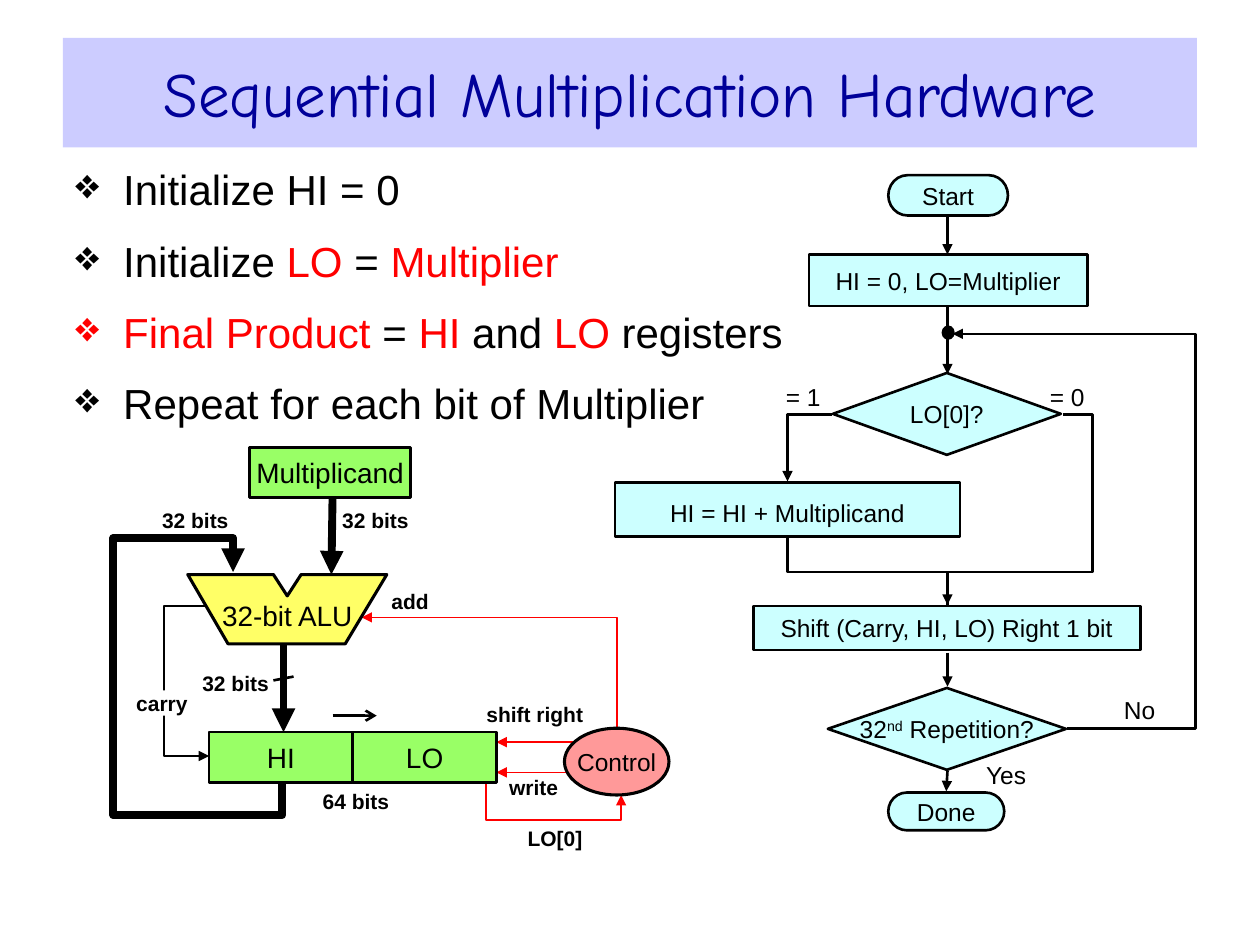
"""Build the sequential multiplication hardware slide."""
from lxml import etree
from pptx import Presentation
from pptx.dml.color import RGBColor
from pptx.enum import shapes, text
from pptx.oxml import ns
from pptx.util import Cm, Pt

INCH = 2.54
COLOURS = {
    "black": "000000", "red": "FF0000", "navy": "000099", "lavender": "CCCCFF",
    "cyan": "CCFFFF", "green": "99FF66", "yellow": "FFFF66", "pink": "FF9999",
    "white": "FFFFFF",
}
RGB = {name: RGBColor.from_string(code) for name, code in COLOURS.items()}
KIND = shapes.MSO_SHAPE

deck = Presentation()
deck.slide_width, deck.slide_height = Cm(10 * INCH), Cm(7.5 * INCH)
slide = deck.slides.add_slide(deck.slide_layouts[6])


def place(words, box, size=14, kind=None, fill=None, width=0, bold=False, font="Arial", ink="black"):
    left, top, wide, high = (Cm(value * INCH) for value in box)
    if kind is None:
        item = slide.shapes.add_textbox(left, top, wide, high)
    else:
        item = slide.shapes.add_shape(kind, left, top, wide, high)
        item.shadow.inherit = False
        item.fill.solid()
        item.fill.fore_color.rgb = RGB[fill]
        if width:
            item.line.color.rgb = RGB["black"]
            item.line.width = Pt(width)
        else:
            item.line.fill.background()
    frame = item.text_frame
    frame.word_wrap = False
    frame.vertical_anchor = text.MSO_ANCHOR.MIDDLE
    frame.margin_left = frame.margin_right = frame.margin_top = frame.margin_bottom = 0
    line = frame.paragraphs[0]
    line.alignment = text.PP_ALIGN.CENTER
    for index, piece in enumerate(words.split("^") if words else []):
        run = line.add_run()
        run.text = piece
        run.font.size, run.font.bold, run.font.name = Pt(size), bold, font
        run.font.color.rgb = RGB[ink]
        if index == 1:
            run.font._element.set("baseline", "30000")
    return item


def route(points, ink="black", width=1.5, tip="triangle"):
    stops = [(Cm(x * INCH), Cm(y * INCH)) for x, y in points]
    if len(stops) == 2:
        wire = slide.shapes.add_connector(shapes.MSO_CONNECTOR.STRAIGHT, *stops[0], *stops[1])
        etree.SubElement(wire._element.spPr, ns.qn("a:effectLst"))
    else:
        outline = slide.shapes.build_freeform(*stops[0])
        outline.add_line_segments(stops[1:], close=False)
        wire = outline.convert_to_shape()
        wire.shadow.inherit = False
        wire.fill.background()
    wire.line.color.rgb = RGB[ink]
    wire.line.width = Pt(width)
    if tip:
        etree.SubElement(wire.line._get_or_add_ln(), ns.qn("a:tailEnd"), type=tip)


place("Sequential Multiplication Hardware", (0.5, 0.3, 9, 0.87), 36, KIND.RECTANGLE,
      "lavender", font="Comic Neue", ink="navy")

steps = [
    [("Initialize HI = 0", "black")],
    [("Initialize ", "black"), ("LO", "red"), (" = ", "black"), ("Multiplier", "red")],
    [("Final Product", "red"), (" =", "black"), (" HI ", "red"), ("and", "black"),
     (" LO ", "red"), ("registers", "black")],
    [("Repeat for each bit of Multiplier", "black")],
]
body = slide.shapes.add_textbox(*(Cm(value * INCH) for value in (0.5, 1.25, 9, 2.46))).text_frame
body.word_wrap = True
for index, step in enumerate(steps):
    bullet = body.add_paragraph() if index else body.paragraphs[0]
    bullet.space_before = Pt(12)
    for words, ink in step:
        run = bullet.add_run()
        run.text = words
        run.font.size, run.font.name = Pt(24), "Arial"
        run.font.color.rgb = RGB[ink]
    props = bullet._p.get_or_add_pPr()
    props.set("marL", str(Cm(0.38 * INCH)))
    props.set("indent", str(-Cm(0.38 * INCH)))
    tint = etree.SubElement(props, ns.qn("a:buClr"))
    etree.SubElement(tint, ns.qn("a:srgbClr"), val=COLOURS[step[0][1]])
    etree.SubElement(props, ns.qn("a:buChar"), char="❖")

axis, add_x = 7.52, 6.25
flow_routes = [
    [(axis, 1.71), (axis, 2.02)],
    [(axis, 2.43), (axis, 2.97)],
    [(6.6, 3.29), (add_x, 3.29), (add_x, 3.82)],
    [(add_x, 4.27), (add_x, 4.54), (axis, 4.54), (axis, 4.8)],
    [(axis, 5.18), (axis, 5.45)],
    [(axis, 6.12), (7.51, 6.28)],
    [(8.47, 5.78), (9.49, 5.78), (9.49, 2.65), (7.56, 2.65)],
]
for points in flow_routes:
    route(points)
route([(8.44, 3.29), (8.67, 3.29), (8.67, 4.54), (axis, 4.54), (axis, 4.8)], tip=None)

flow_steps = [
    ("Start", KIND.FLOWCHART_TERMINATOR, (7.05, 1.39, 0.95, 0.32)),
    ("HI = 0, LO=Multiplier", KIND.RECTANGLE, (6.42, 2.02, 2.21, 0.41)),
    ("LO[0]?", KIND.FLOWCHART_DECISION, (6.61, 2.96, 1.81, 0.65)),
    ("Shift (Carry, HI, LO) Right 1 bit", KIND.RECTANGLE, (5.98, 4.81, 3.07, 0.35)),
    ("32^nd^ Repetition?", KIND.FLOWCHART_DECISION, (6.57, 5.46, 1.89, 0.65)),
    ("Done", KIND.FLOWCHART_TERMINATOR, (7.05, 6.29, 0.92, 0.3)),
]
for words, kind, box in flow_steps:
    place(words, box, kind=kind, fill="cyan", width=1.5)
addition = place("HI = HI + Multiplicand", (4.88, 3.83, 2.74, 0.43), kind=KIND.RECTANGLE,
                 fill="cyan", width=1.5)
addition.text_frame.paragraphs[0].line_spacing = 1.2
place("", (7.48, 2.59, 0.09, 0.1), kind=KIND.OVAL, fill="black", width=1)
for words, box in [
    ("= 1", (6.14, 2.98, 0.47, 0.34)),
    ("= 0", (8.23, 2.98, 0.48, 0.34)),
    ("No", (8.82, 5.46, 0.45, 0.34)),
    ("Yes", (7.72, 5.98, 0.53, 0.34)),
]:
    place(words, box)

route([(2.25, 4.81), (1.3, 4.81), (1.3, 6), (1.66, 6)], width=1)
for points in [
    [(2.24, 6.2), (2.24, 6.47), (0.9, 6.47), (0.9, 4.27), (1.85, 4.27), (1.85, 4.54)],
    [(2.25, 5.1), (2.25, 5.81)],
    [(2.64, 3.91), (2.63, 4.56)],
]:
    route(points, width=4.5)
for points in [
    [(3.86, 6.19), (3.86, 6.51), (4.93, 6.51), (4.93, 6.31)],
    [(4.57, 5.89), (3.94, 5.89)],
    [(4.53, 6.13), (3.94, 6.13)],
    [(4.9, 5.82), (4.9, 4.9), (2.87, 4.9)],
]:
    route(points, "red", 1)
route([(2.64, 5.68), (2.99, 5.68)], tip="arrow")
route([(2.17, 5.4), (2.33, 5.37)], tip=None)

alu_points = [(3.07, 4.56), (2.39, 4.56), (2.28, 4.73), (2.17, 4.56), (1.49, 4.56),
              (1.81, 5.11), (2.74, 5.11)]
corners = [(Cm(x * INCH), Cm(y * INCH)) for x, y in alu_points]
alu_outline = slide.shapes.build_freeform(*corners[0])
alu_outline.add_line_segments(corners[1:])
alu = alu_outline.convert_to_shape()
alu.shadow.inherit = False
alu.fill.solid()
alu.fill.fore_color.rgb = RGB["yellow"]
alu.line.color.rgb = RGB["black"]
alu.line.width = Pt(1.75)
place("32-bit ALU", (1.69, 4.69, 1.18, 0.39), 16)

place("Control", (4.48, 5.78, 0.83, 0.53), kind=KIND.OVAL, fill="pink", width=1.75)
for words, box in [
    ("Multiplicand", (1.98, 3.55, 1.28, 0.4)),
    ("HI", (1.66, 5.81, 1.14, 0.4)),
    ("LO", (2.8, 5.81, 1.14, 0.4)),
]:
    place(words, box, 16, KIND.RECTANGLE, "green", 1.5)

for words, box in [
    ("32 bits", (1.26, 4.03, 0.58, 0.2)),
    ("32 bits", (2.69, 4.03, 0.58, 0.2)),
    ("32 bits", (1.58, 5.32, 0.58, 0.2)),
    ("64 bits", (2.54, 6.27, 0.57, 0.17)),
    ("add", (3, 4.67, 0.51, 0.2)),
    ("shift right", (3.76, 5.58, 0.97, 0.18)),
    ("write", (3.98, 6.15, 0.51, 0.2)),
    ("LO[0]", (3.92, 6.55, 0.97, 0.2)),
]:
    place(words, box, 12, bold=True)
place("carry", (1.03, 5.48, 0.51, 0.2), 12, KIND.RECTANGLE, "white", bold=True)

deck.save("out.pptx")
